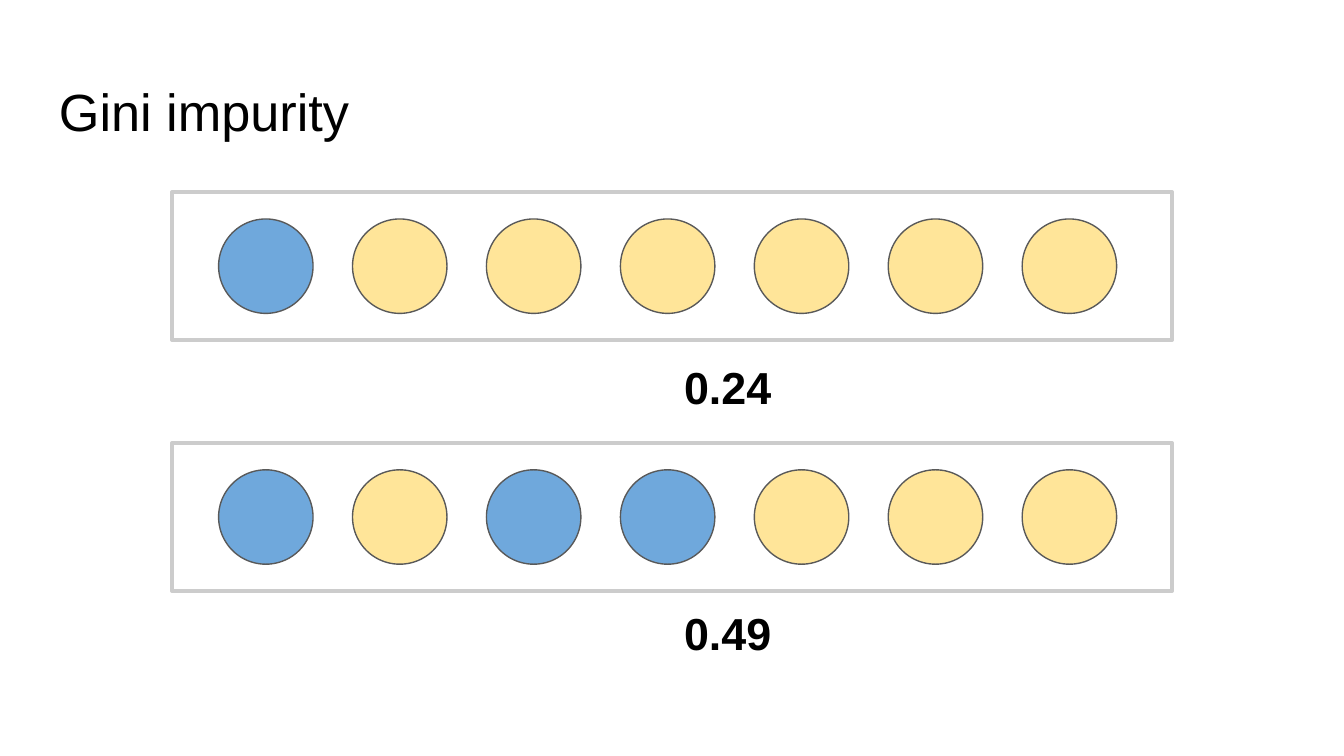
from pptx import Presentation
from pptx.dml.color import RGBColor
from pptx.enum.shapes import MSO_SHAPE
from pptx.enum.text import MSO_ANCHOR
from pptx.util import Pt

BLACK = RGBColor(0x00, 0x00, 0x00)
BLUE = RGBColor(0x6F, 0xA8, 0xDC)
YELLOW = RGBColor(0xFF, 0xE5, 0x99)
SILVER = RGBColor(0xCC, 0xCC, 0xCC)
GREY = RGBColor(0x59, 0x59, 0x59)

# Content: B is a blue ball, Y a yellow one
TITLE = "Gini impurity"
FILLS = {"B": BLUE, "Y": YELLOW}
# balls, score, top of frame, top of score
ROWS = [
    ("BYYYYYY", "0.24", 103, 184.5),
    ("BYBBYYY", "0.49", 237.4, 316.4),
]

# Layout in points
LEFT, WIDE, HIGH = 92.2, 535.7, 79.2
BALL, FIRST, STEP = 50.6, 117.1, 71.75

deck = Presentation()
deck.slide_width, deck.slide_height = Pt(720), Pt(405)
slide = deck.slides.add_slide(deck.slide_layouts[6])


def add_shape(kind, x, y, w, h, fill, line, weight):
    shape = slide.shapes.add_shape(kind, Pt(x), Pt(y), Pt(w), Pt(h))
    shape.shadow.inherit = False
    if fill is None:
        shape.fill.background()
    else:
        shape.fill.solid()
        shape.fill.fore_color.rgb = fill
    shape.line.color.rgb = line
    shape.line.width = Pt(weight)


def add_text(words, x, y, w, h, size, bold, anchor):
    frame = slide.shapes.add_textbox(Pt(x), Pt(y), Pt(w), Pt(h)).text_frame
    frame.word_wrap = True
    frame.vertical_anchor = anchor
    frame.margin_left = frame.margin_right = Pt(7.2)
    frame.margin_top = frame.margin_bottom = Pt(7.2)
    run = frame.paragraphs[0].add_run()
    run.text = words
    run.font.name = "Arial"
    run.font.size = Pt(size)
    run.font.bold = bold
    run.font.color.rgb = BLACK


# Title
add_text(TITLE, 24.5, 35, 671, 45, 28, False, MSO_ANCHOR.TOP)

# Framed rows of balls, each with its score below
for balls, score, top, low in ROWS:
    add_shape(MSO_SHAPE.RECTANGLE, LEFT, top, WIDE, HIGH, None, SILVER, 2.25)
    for i, ball in enumerate(balls):
        add_shape(MSO_SHAPE.OVAL, FIRST + i * STEP, top + (HIGH - BALL) / 2,
                  BALL, BALL, FILLS[ball], GREY, 0.75)
    add_text(score, 359.4, low, 62.6, 45.4, 24, True, MSO_ANCHOR.MIDDLE)

deck.save("out.pptx")
